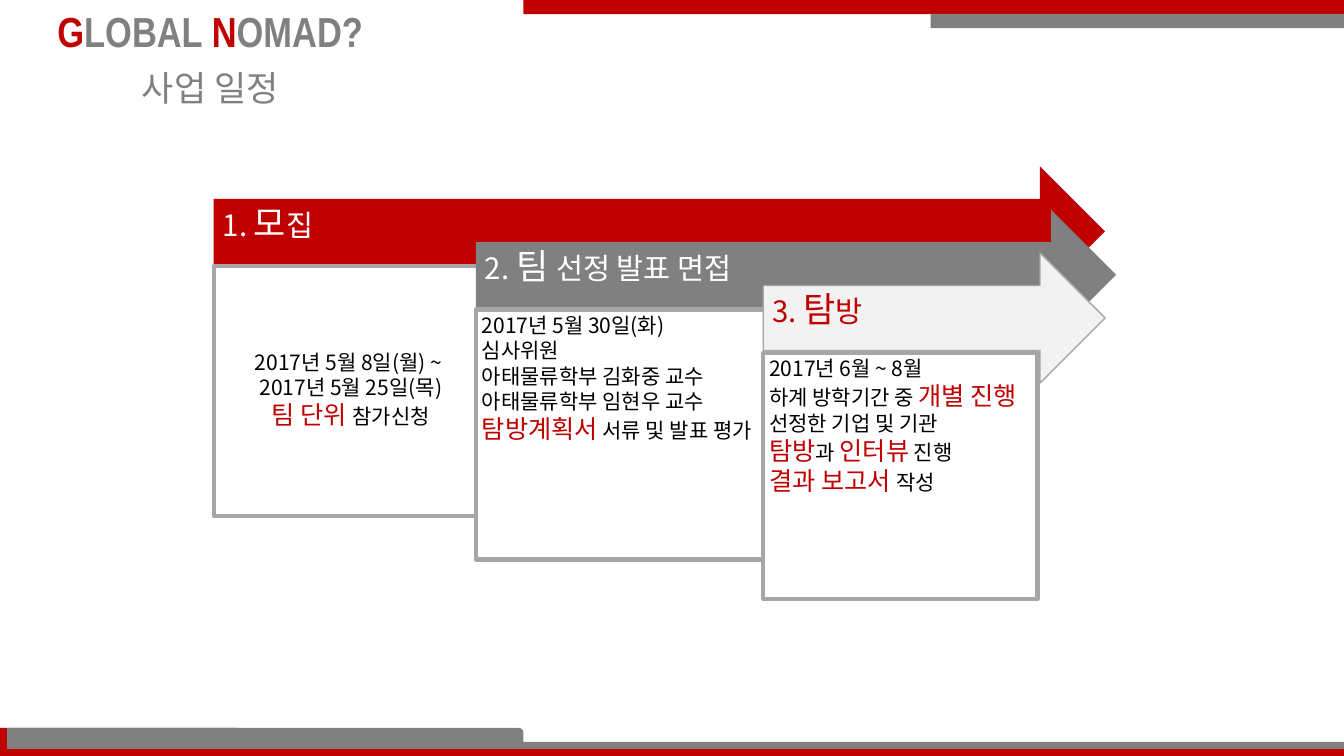
from pptx import Presentation
from pptx.dml.color import RGBColor
from pptx.enum.shapes import MSO_SHAPE as Shape
from pptx.enum.text import MSO_ANCHOR as Anchor, PP_ALIGN as Align
from pptx.oxml.ns import qn
from pptx.util import Inches, Pt

RED = RGBColor(0xC0, 0x00, 0x00)
GRAY = RGBColor(0x80, 0x80, 0x80)
BORDER = RGBColor(0xA6, 0xA6, 0xA6)
LIGHT = RGBColor(0xF2, 0xF2, 0xF2)
WHITE = RGBColor(0xFF, 0xFF, 0xFF)
BLACK = RGBColor(0x00, 0x00, 0x00)
LATIN, KOREAN = "Arial Narrow", "Noto Sans CJK KR"

TITLE = [("G", 30, RED), ("LOBAL ", 30, GRAY), ("N", 30, RED), ("OMAD?", 30, GRAY)]
SUBTITLE = [("사업 일정", 25, GRAY)]

BARS = [
    (Shape.ROUND_1_RECTANGLE, 0, 7.22, 2.39, 0.28, RED),
    (Shape.RECTANGLE, 0.07, 7.36, 13.26, 0.14, GRAY),
    (Shape.ROUND_1_RECTANGLE, 0.07, 7.22, 5.12, 0.28, GRAY),
    (Shape.RECTANGLE, 5.19, 0, 8.14, 0.14, RED),
    (Shape.RECTANGLE, 9.23, 0.14, 4.1, 0.14, GRAY),
    (Shape.RECTANGLE, 0.07, 7.43, 13.26, 0.07, RED),
]


def plain(text):
    """Return a run of ordinary box text."""
    return text, 15, BLACK


def strong(text):
    """Return a run of emphasised box text."""
    return text, 18, RED


STAGES = [
    dict(head=("1. ", "모", "집"), left=2.12, arrow_w=8.84, box_w=2.72, box_h=2.48,
         fill=RED, line=None, color=WHITE, align=Align.CENTER, anchor=Anchor.MIDDLE,
         lines=[[plain("2017년 5월 8일(월) ~ ")],
                [plain("2017년 5월 25일(목)")],
                [strong("팀 단위 "), plain("참가신청")]]),
    dict(head=("2. ", "팀 ", "선정 발표 면접"), left=4.72, arrow_w=6.35, box_w=2.97, box_h=2.48,
         fill=GRAY, line=None, color=WHITE, align=Align.LEFT, anchor=Anchor.TOP,
         lines=[[plain("2017년 5월 30일(화)")],
                [plain("심사위원")],
                [plain("아태물류학부 김화중 교수")],
                [plain("아태물류학부 임현우 교수")],
                [strong("탐방계획서"), plain(" 서류 및 발표 평가")]]),
    dict(head=("3. ", "탐", "방"), left=7.57, arrow_w=3.39, box_w=2.72, box_h=2.44,
         fill=LIGHT, line=BORDER, color=RED, align=Align.LEFT, anchor=Anchor.TOP,
         lines=[[plain("2017년 6월 ~ 8월")],
                [plain("하계 방학기간 중 "), strong("개별 진행")],
                [plain("선정한 기업 및 기관")],
                [strong("탐방"), plain("과 "), strong("인터뷰"), plain(" 진행")],
                [strong("결과 보고서 "), plain("작성")]]),
]
ARROW_TOP, ARROW_H, STEP, BOX_DROP = 1.65, 1.29, 0.43, 0.99


def write(tf, lines, align, anchor, insets, font=KOREAN, bold=False, spacing=0.9, after=1.8):
    """Fill a text frame with lines of (text, size, colour) runs."""
    tf.word_wrap = True
    tf.vertical_anchor = anchor
    tf.margin_left, tf.margin_top, tf.margin_right, tf.margin_bottom = map(Inches, insets)
    for i, line in enumerate(lines):
        p = tf.add_paragraph() if i else tf.paragraphs[0]
        p.alignment, p.line_spacing = align, spacing
        p.space_before, p.space_after = Pt(0), Pt(after)
        for text, size, color in line:
            r = p.add_run()
            r.text = text
            r.font.name, r.font.size, r.font.bold = font, Pt(size), bold
            r.font.color.rgb = color
            ea = r.font._element.makeelement(qn("a:ea"), {"typeface": font})
            r.font._element.find(qn("a:latin")).addnext(ea)


def add_block(s, kind, left, top, width, height, fill, line=None, weight=1):
    """Add a flat filled shape."""
    sp = s.shapes.add_shape(kind, *map(Inches, (left, top, width, height)))
    sp.shadow.inherit = False
    sp.fill.solid()
    sp.fill.fore_color.rgb = fill
    if line is None:
        sp.line.fill.background()
    else:
        sp.line.color.rgb = line
        sp.line.width = Pt(weight)
    return sp


def add_stage(s, index, stage):
    """Add one schedule stage: its arrow and its detail box."""
    top = ARROW_TOP + STEP * index
    arrow = add_block(s, Shape.RIGHT_ARROW, stage["left"], top, stage["arrow_w"], ARROW_H,
                      stage["fill"], stage["line"])
    head = [(text, size, stage["color"]) for text, size in zip(stage["head"], (21, 25, 21))]
    write(arrow.text_frame, [head], Align.LEFT, Anchor.BOTTOM, (0.09, 0.08, 0.28, 0.2))
    box = add_block(s, Shape.RECTANGLE, stage["left"], top + BOX_DROP, stage["box_w"],
                    stage["box_h"], WHITE, BORDER, 3)
    write(box.text_frame, stage["lines"], stage["align"], stage["anchor"], (0.06,) * 4)


def main():
    """Build the schedule slide."""
    prs = Presentation()
    prs.slide_width, prs.slide_height = Inches(13.33), Inches(7.5)
    s = prs.slides.add_slide(prs.slide_layouts[5])
    for bar in BARS:
        add_block(s, *bar)
    insets = (0.1, 0.05, 0.1, 0.05)
    title = s.shapes.title
    title.left, title.top, title.width, title.height = map(Inches, (0, 0, 4.17, 0.61))
    write(title.text_frame, [TITLE], Align.CENTER, Anchor.TOP, insets, LATIN, True, 1.0, 0)
    subtitle = s.shapes.add_textbox(*map(Inches, (0.28, 0.61, 3.61, 0.52)))
    write(subtitle.text_frame, [SUBTITLE], Align.CENTER, Anchor.TOP, insets, spacing=1.0, after=0)
    for index, stage in enumerate(STAGES):
        add_stage(s, index, stage)
    prs.save("out.pptx")


if __name__ == "__main__":
    main()
